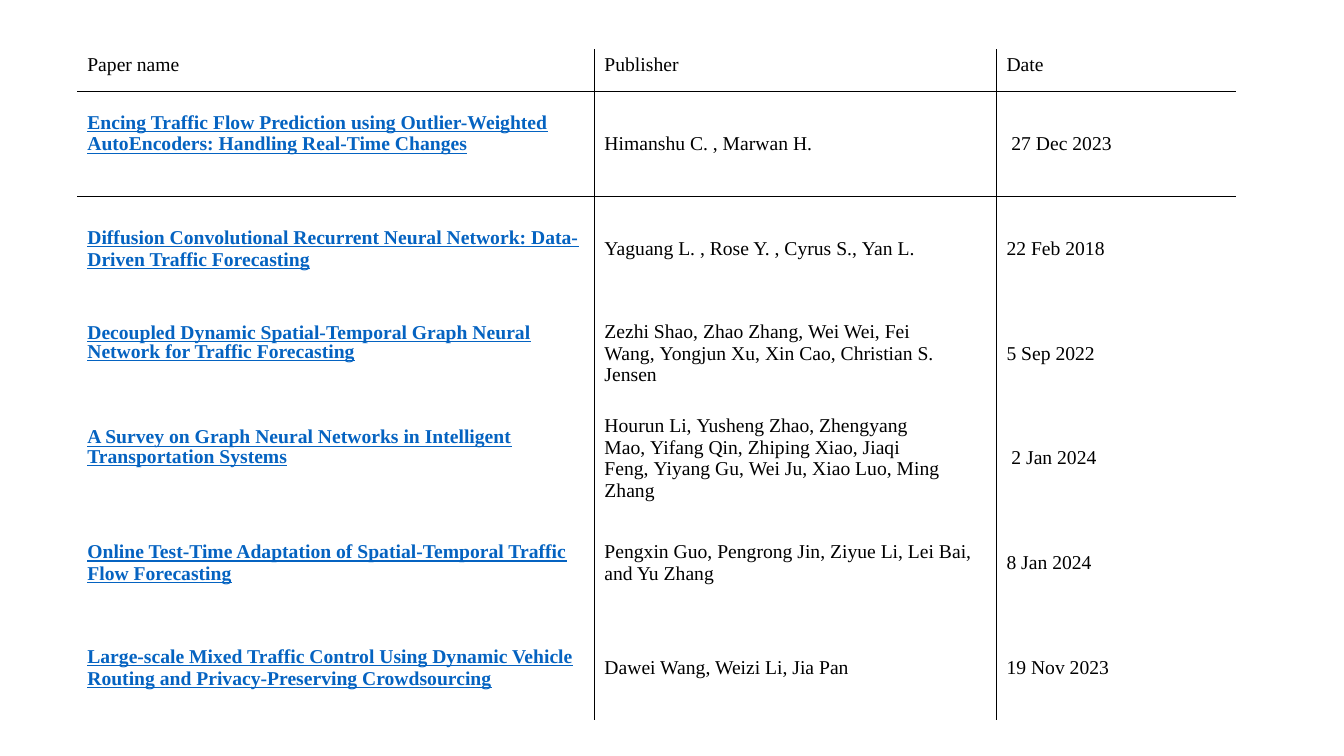
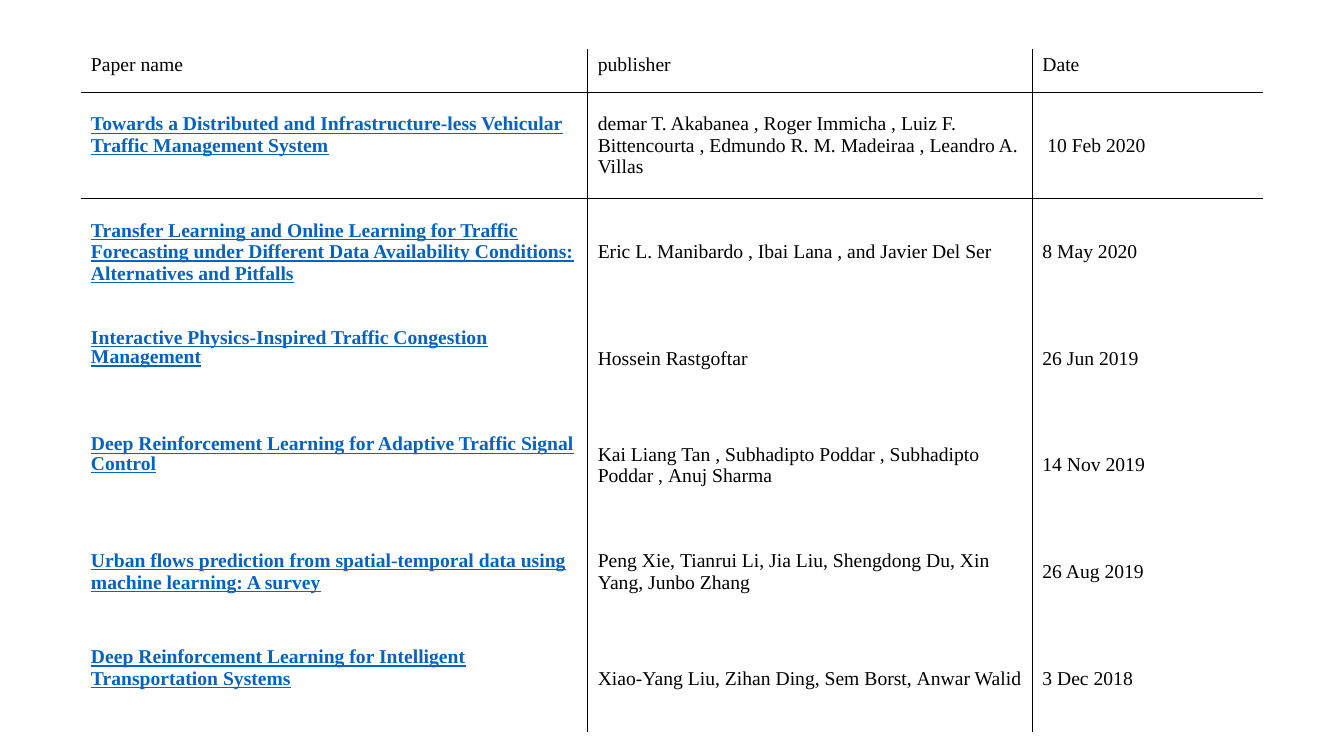
from lxml import etree
from pptx import Presentation
from pptx.dml.color import RGBColor
from pptx.enum import text as txt
from pptx.oxml import ns
from pptx.util import Pt

NBSP = chr(160)
TIGHT_ROWS = {3, 4}
RULED_ROWS = {0, 1}

FIRST_PAPERS = [
    ("Paper name", "Publisher", "Date"),
    ("Encing Traffic Flow Prediction using Outlier-Weighted AutoEncoders: "
     "Handling Real-Time Changes",
     "Himanshu C. ,~Marwan H.", "~27 Dec 2023"),
    ("Diffusion Convolutional Recurrent Neural Network: Data-Driven Traffic Forecasting",
     "Yaguang L. ,~Rose Y. ,~Cyrus S.,~Yan L.", "22 Feb 2018"),
    ("Decoupled Dynamic Spatial-Temporal Graph Neural Network for Traffic Forecasting",
     "Zezhi Shao,~Zhao Zhang,~Wei Wei,~Fei Wang,~Yongjun Xu,~Xin Cao,~Christian S. Jensen",
     "5 Sep 2022"),
    ("A Survey on Graph Neural Networks in Intelligent Transportation Systems",
     "Hourun Li,~Yusheng Zhao,~Zhengyang Mao,~Yifang Qin,~Zhiping Xiao,~Jiaqi Feng,"
     "~Yiyang Gu,~Wei Ju,~Xiao Luo,~Ming Zhang", "~2 Jan 2024"),
    ("Online Test-Time Adaptation of Spatial-Temporal Traffic Flow Forecasting",
     "Pengxin Guo, Pengrong Jin, Ziyue Li, Lei Bai, and Yu Zhang", "8 Jan 2024"),
    ("Large-scale Mixed Traffic Control Using Dynamic Vehicle Routing and "
     "Privacy-Preserving Crowdsourcing",
     "Dawei Wang, Weizi Li, Jia Pan", "19 Nov 2023"),
]

SECOND_PAPERS = [
    ("Paper name", "publisher", "Date"),
    ("Towards a Distributed and Infrastructure-less Vehicular Traffic Management System",
     "demar T. Akabanea , Roger Immicha , Luiz F. Bittencourta , "
     "Edmundo R. M. Madeiraa , Leandro A. Villas", "~10 Feb 2020"),
    ("Transfer Learning and Online Learning for Traffic Forecasting under Different "
     "Data Availability Conditions: Alternatives and Pitfalls",
     "Eric L. Manibardo , Ibai Lana , and Javier Del Ser", "8 May 2020"),
    ("Interactive Physics-Inspired Traffic Congestion Management",
     "Hossein Rastgoftar", "26 Jun 2019"),
    ("Deep Reinforcement Learning for Adaptive Traffic Signal Control",
     "Kai Liang Tan ,~Subhadipto Poddar ,~Subhadipto Poddar ,~Anuj Sharma", "14 Nov 2019"),
    ("Urban flows prediction from spatial-temporal data using machine learning: A survey",
     "Peng Xie,~Tianrui Li,~Jia Liu,~Shengdong Du,~Xin Yang,~Junbo Zhang", "26 Aug 2019"),
    ("Deep Reinforcement Learning for Intelligent Transportation Systems",
     "Xiao-Yang Liu,~Zihan Ding,~Sem Borst,~Anwar Walid", "3 Dec 2018"),
]


def color(hex_string):
    return RGBColor.from_string(hex_string)


def write(frame, content, font="Times New Roman", size=14, ink="000000",
          bold=False, underline=False, spacing=None):
    """Fill the frame with one paragraph; ~ stands for a no-break space."""
    paragraph = frame.paragraphs[0]
    if spacing:
        paragraph.line_spacing = spacing
    run = paragraph.add_run()
    run.text = content.replace("~", NBSP)
    run.font.name = font
    run.font.size = Pt(size)
    run.font.color.rgb = color(ink)
    run.font.bold = bold
    run.font.underline = underline


class Deck:
    LINK = "0563C1"
    RULE = "000000"
    RULE_WIDTH = 1
    LIFT = 15

    def __init__(self):
        self.presentation = Presentation()
        self.presentation.slide_width = Pt(960)
        self.presentation.slide_height = Pt(540)
        self.slide = None

    def new_slide(self):
        self.slide = self.presentation.slides.add_slide(self.presentation.slide_layouts[6])

    def borders(self, cell, visible):
        """Rule the sides named in visible (of L, R, T, B) and clear the others."""
        properties = cell._tc.get_or_add_tcPr()
        for side in "LRTB":
            line = etree.SubElement(properties, ns.qn(f"a:ln{side}"))
            if side in visible:
                line.set("w", str(Pt(self.RULE_WIDTH)))
                fill = etree.SubElement(line, ns.qn("a:solidFill"))
                etree.SubElement(fill, ns.qn("a:srgbClr"), val=self.RULE)
            else:
                etree.SubElement(line, ns.qn("a:noFill"))

    def paper_table(self, papers, left, top, widths, header_height, row_height, lifted_rows):
        """Draw a table of papers; titles in lifted_rows sit above the row's middle."""
        heights = [header_height] + [row_height] * (len(papers) - 1)
        frame = self.slide.shapes.add_table(
            len(papers), len(widths), Pt(left), Pt(top), Pt(sum(widths)), Pt(sum(heights)))
        table = frame.table
        table.first_row = table.horz_banding = False
        for column, width in zip(table.columns, widths):
            column.width = Pt(width)
        for row, height in zip(table.rows, heights):
            row.height = Pt(height)

        for r, paper in enumerate(papers):
            for c, content in enumerate(paper):
                cell = table.cell(r, c)
                sides = "L" * (c > 0) + "R" * (c < len(widths) - 1)
                sides += "T" * (r - 1 in RULED_ROWS) + "B" * (r in RULED_ROWS)
                self.borders(cell, sides)
                cell.fill.background()
                style = {}
                if r > 0:
                    cell.vertical_anchor = txt.MSO_ANCHOR.MIDDLE
                    if c == 0:
                        style = dict(ink=self.LINK, bold=True, underline=True,
                                     spacing=0.9 if r in TIGHT_ROWS else None)
                        if r in lifted_rows:
                            cell.margin_bottom = Pt(3.6 + self.LIFT)
                write(cell.text_frame, content, **style)


def main():
    deck = Deck()
    deck.new_slide()
    deck.paper_table(FIRST_PAPERS, 55.2, 35, [369.4, 287.2, 171.4], 30.4, 74.85, {1, 3, 4})
    deck.new_slide()
    deck.paper_table(SECOND_PAPERS, 57.8, 34.9, [362, 317.6, 164.8], 31, 76.15, {1, 3, 4, 6})
    deck.presentation.save("out.pptx")


if __name__ == "__main__":
    main()
